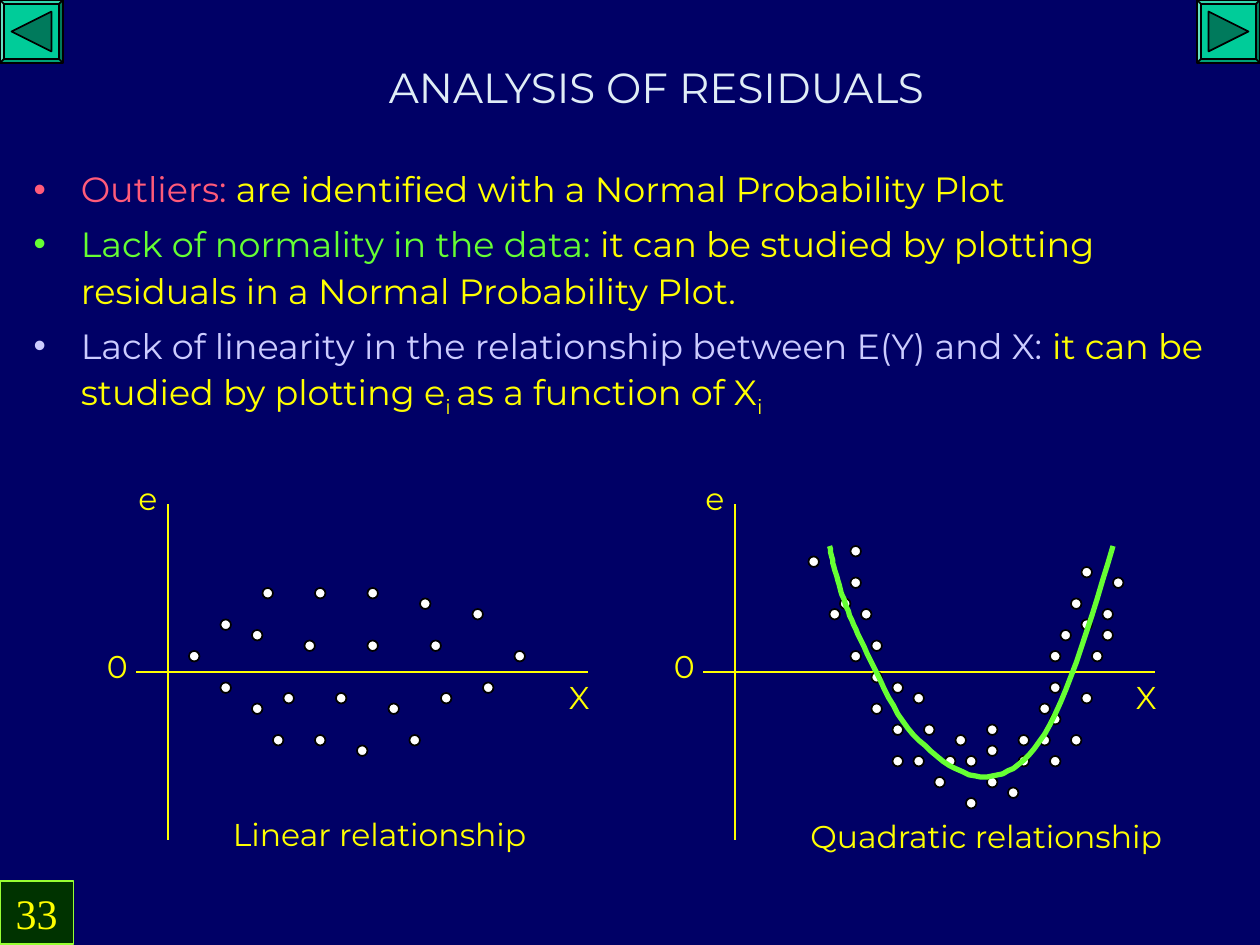
from lxml import etree
from pptx import Presentation
from pptx import util as u
from pptx.dml.color import RGBColor
from pptx.enum import shapes, text
from pptx.oxml import ns

PX = 7620  # 120 px to the inch
GRID = 10  # dots sit on a grid of 10 px
NAVY = RGBColor(0x00, 0x00, 0x66)
YELLOW = RGBColor(0xFF, 0xFF, 0x00)
PALE = RGBColor(0xE0, 0xED, 0xF6)
PINK = RGBColor(0xFF, 0x5B, 0x7A)
GREEN = RGBColor(0x66, 0xFF, 0x33)
LILAC = RGBColor(0xCC, 0xCC, 0xFF)
TEAL = RGBColor(0x00, 0xCC, 0x99)
DARK_TEAL = RGBColor(0x00, 0x7A, 0x5C)
DARK_GREEN = RGBColor(0x00, 0x33, 0x00)
LIME = RGBColor(0x99, 0xFF, 0x33)
WHITE = RGBColor(0xFF, 0xFF, 0xFF)
BLACK = RGBColor(0x00, 0x00, 0x00)

# Each bullet: colour of its lead, then (text, colour, is subscript)
BULLETS = [
    (PINK, [("Outliers: ", PINK, False),
            ("are identified with a Normal Probability Plot", YELLOW, False)]),
    (GREEN, [("Lack of normality in the data: ", GREEN, False),
             ("it can be studied by plotting residuals in a Normal Probability Plot.",
              YELLOW, False)]),
    (LILAC, [("Lack of linearity in the relationship between E(Y) and X: ", LILAC, False),
             ("it can be studied by plotting e", YELLOW, False),
             ("i ", YELLOW, True),
             ("as a function of X", YELLOW, False),
             ("i", YELLOW, True)]),
]

# Left and top of each dot in grid steps
LINEAR_DOTS = [
    (25, 56), (29, 61), (27, 66), (21, 65), (18, 62), (21, 59), (24, 67), (26, 70),
    (24, 60), (30, 70), (32, 66), (30, 56), (34, 71), (42, 66), (46, 65), (49, 62),
    (35, 56), (35, 61), (41, 61), (40, 57), (45, 58), (37, 67), (39, 70)]
QUADRATIC_DOTS = [
    (77, 53), (81, 55), (79, 58), (83, 61), (82, 58), (81, 52), (81, 62), (83, 67),
    (87, 66), (85, 72), (85, 69), (88, 69), (92, 72), (85, 65), (91, 70), (89, 74),
    (87, 72), (94, 71), (99, 67), (101, 60), (103, 54), (106, 55), (105, 60), (105, 58),
    (102, 57), (104, 62), (100, 62), (94, 69), (97, 70), (94, 74), (92, 76), (96, 75),
    (100, 72), (103, 66), (102, 70), (100, 65), (100, 68), (97, 72), (99, 70), (90, 72),
    (83, 64), (80, 57), (103, 59)]

# Start of the curve, then two handles and an end for each Bezier piece
CURVE_START = (790, 520)
CURVE = [
    ((792, 533), (796, 545), (800, 560)),
    ((805, 575), (809, 587), (820, 610)),
    ((832, 634), (850, 678), (870, 700)),
    ((890, 721), (918, 742), (940, 740)),
    ((961, 738), (980, 727), (1000, 690)),
    ((1020, 653), (1040, 587), (1060, 520))]


def scaled(*lengths):
    return [u.Emu(length * PX) for length in lengths]


def add_span(para, words, size=18, color=YELLOW, font="Montserrat", subscript=False):
    span = para.add_run()
    span.text = words
    span.font.size = u.Pt(size)
    span.font.name = font
    span.font.color.rgb = color
    if subscript:
        span._r.get_or_add_rPr().set("baseline", "-25000")


def add_label(parent, words, left, top, width):
    box = parent.add_textbox(*scaled(left, top, width, 48))
    box.text_frame.word_wrap = True
    add_span(box.text_frame.paragraphs[0], words)


def add_figure(parent, kind, place, fill, line=BLACK, weight=1):
    shape = parent.add_shape(kind, *scaled(*place))
    shape.shadow.inherit = False
    shape.fill.solid()
    shape.fill.fore_color.rgb = fill
    shape.line.color.rgb = line
    shape.line.width = u.Pt(weight)
    return shape


def add_axis(parent, start, end):
    axis = parent.add_connector(shapes.MSO_CONNECTOR.STRAIGHT, *scaled(*start, *end))
    axis.line.color.rgb = YELLOW
    axis.line.width = u.Pt(1)
    etree.SubElement(axis._element.spPr, ns.qn("a:effectLst"))


def add_axes(page, left):
    group = page.shapes.add_group_shape().shapes
    add_axis(group, (left + 160, 480), (left + 160, 800))
    add_axis(group, (left + 130, 640), (left + 560, 640))
    for words, x, y in (("e", 120, 450), ("X", 530, 640), ("0", 90, 610)):
        add_label(group, words, left + x, y, 50)


def add_dots(page, dots):
    group = page.shapes.add_group_shape().shapes
    for column, row in dots:
        add_figure(group, shapes.MSO_SHAPE.OVAL,
                   (column * GRID, row * GRID, GRID, GRID), WHITE)


def add_curve(page, steps=12):
    points, start = [], CURVE_START
    for first, second, end in CURVE:
        for step in range(1, steps + 1):
            t = step / steps
            weights = ((1 - t) ** 3, 3 * t * (1 - t) ** 2, 3 * t * t * (1 - t), t ** 3)
            corners = (start, first, second, end)
            points.append(tuple(sum(w * c[axis] for w, c in zip(weights, corners))
                                for axis in (0, 1)))
        start = end
    builder = page.shapes.build_freeform(*CURVE_START, scale=PX)
    builder.add_line_segments(points, close=False)
    curve = builder.convert_to_shape()
    curve.shadow.inherit = False
    curve.fill.background()
    curve.line.color.rgb = GREEN
    curve.line.width = u.Pt(3)


def add_button(page, left, rotation):
    bevel = add_figure(page.shapes, shapes.MSO_SHAPE.BEVEL, (left, 0, 60, 60), TEAL)
    bevel.adjustments[0] = 0.06
    arrow = add_figure(page.shapes, shapes.MSO_SHAPE.ISOSCELES_TRIANGLE,
                       (left + 11, 11, 38, 38), DARK_TEAL)
    arrow.rotation = rotation


def place_text(box, place, anchor):
    box.left, box.top, box.width, box.height = scaled(*place)
    frame = box.text_frame
    frame.auto_size = text.MSO_AUTO_SIZE.NONE
    frame.vertical_anchor = anchor
    return frame


def fill_title(page):
    frame = place_text(page.shapes.title, (140, 50, 970, 65), text.MSO_ANCHOR.MIDDLE)
    frame.word_wrap = False
    para = frame.paragraphs[0]
    para.alignment = text.PP_ALIGN.CENTER
    add_span(para, "ANALYSIS OF RESIDUALS", size=24, color=PALE)


def fill_bullets(page):
    frame = place_text(page.placeholders[1], (20, 150, 1170, 270), text.MSO_ANCHOR.TOP)
    frame.word_wrap = True
    for index, (lead, spans) in enumerate(BULLETS):
        para = frame.add_paragraph() if index else frame.paragraphs[0]
        props = para._p.get_or_add_pPr()
        props.set("marL", str(45 * PX))
        props.set("indent", str(-45 * PX))
        color = etree.SubElement(props, ns.qn("a:buClr"))
        etree.SubElement(color, ns.qn("a:srgbClr"), val=str(lead))
        etree.SubElement(props, ns.qn("a:buChar"), char="•")
        para.line_spacing = 1.1
        para.space_before = u.Pt(5 if index else 0)
        for words, tint, subscript in spans:
            add_span(para, words, size=20, color=tint, subscript=subscript)


def add_page_number(page):
    box = add_figure(page.shapes, shapes.MSO_SHAPE.RECTANGLE, (0, 839, 70, 60),
                     DARK_GREEN, LIME, 0.75)
    para = box.text_frame.paragraphs[0]
    para.alignment = text.PP_ALIGN.CENTER
    add_span(para, "33", size=24, font="Times New Roman")


def main():
    deck = Presentation()
    deck.slide_width, deck.slide_height = scaled(1200, 900)
    page = deck.slides.add_slide(deck.slide_layouts[1])
    page.background.fill.solid()
    page.background.fill.fore_color.rgb = NAVY

    # Heading, list and navigation
    fill_title(page)
    fill_bullets(page)
    add_button(page, 1140, 90)
    add_button(page, 0, -90)

    # Residual plots
    add_axes(page, 0)
    add_axes(page, 540)
    add_dots(page, LINEAR_DOTS)
    add_dots(page, QUADRATIC_DOTS)
    add_curve(page)
    add_label(page.shapes, "Linear relationship", 210, 770, 400)
    add_label(page.shapes, "Quadratic relationship", 760, 772, 400)

    add_page_number(page)
    deck.save("out.pptx")


if __name__ == "__main__":
    main()
